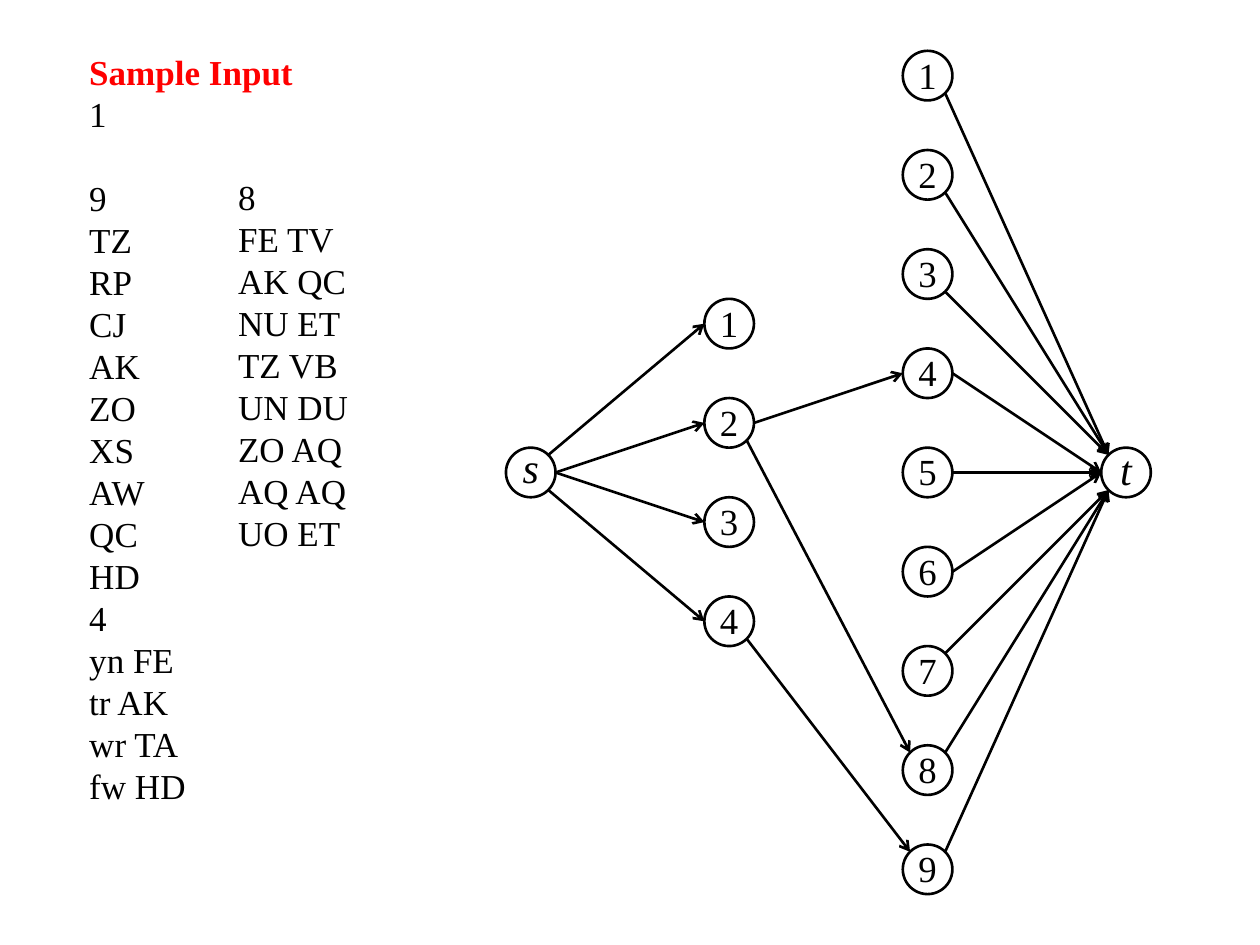
import math
import pptx
import pptx.util
import pptx.dml.color
import pptx.enum.text
import pptx.enum.shapes
import pptx.oxml
import pptx.oxml.ns

Pt = pptx.util.Pt
BLACK = pptx.dml.color.RGBColor(0, 0, 0)
WHITE = pptx.dml.color.RGBColor(255, 255, 255)
RED = pptx.dml.color.RGBColor(255, 0, 0)
FONT = "Times New Roman"

deck = pptx.Presentation()
deck.slide_width = pptx.util.Inches(10)
deck.slide_height = pptx.util.Inches(7.5)
slide = deck.slides.add_slide(deck.slide_layouts[6])
unit = deck.slide_width / 25.4
mid = deck.slide_height / 2
start = 10.7 * unit
col = 4 * unit
row = 2 * unit
size = unit
half = size / 2
diag = half * math.sqrt(0.5)


def style(font, points, color=BLACK):
    font.name = FONT
    font.size = Pt(points)
    font.color.rgb = color


def inset(frame, side, low):
    frame.margin_left = frame.margin_right = int(side * unit)
    frame.margin_top = 0
    frame.margin_bottom = int(low * unit)
    frame.word_wrap = True


left = ["Sample Input", "1", "9", "TZ", "RP", "CJ", "AK", "ZO", "XS", "AW",
        "QC", "HD", "4", "yn FE", "tr AK", "wr TA", "fw HD"]
right = ["8", "FE TV", "AK QC", "NU ET", "TZ VB", "UN DU", "ZO AQ", "AQ AQ",
         "UO ET"]
lists = [(left, 1.7, 1.02, 4.5, 15.5), (right, 4.7, 3.53, 2.5, 8)]
for words, x, y, wide, high in lists:
    box = slide.shapes.add_textbox(
        int(x * unit), int(y * unit), int(wide * unit), int(high * unit))
    frame = box.text_frame
    inset(frame, 0.1, 0.13)
    frame.text = "\n".join(words)
    for para in frame.paragraphs:
        para.line_spacing = Pt(24)
        style(para.runs[0].font, 20)
    if words is left:
        title = frame.paragraphs[0].runs[0].font
        title.bold = True
        title.color.rgb = RED
        frame.paragraphs[2].space_before = Pt(24)

nodes = {"s": (0, 0), "t": (3, 0)}
for num in range(1, 5):
    nodes["a" + str(num)] = (1, num - 2.5)
for num in range(1, 10):
    nodes["b" + str(num)] = (2, num - 5)

lows = {"s": 0.25, "t": 0.15}
for name, (x, y) in nodes.items():
    node = slide.shapes.add_shape(
        pptx.enum.shapes.MSO_SHAPE.OVAL,
        int(start + x * col - half), int(mid + y * row - half),
        int(size), int(size))
    node.shadow.inherit = False
    node.fill.solid()
    node.fill.fore_color.rgb = WHITE
    node.line.color.rgb = BLACK
    node.line.width = Pt(1.5)
    frame = node.text_frame
    inset(frame, 0, lows.get(name, 0.05))
    frame.vertical_anchor = pptx.enum.text.MSO_ANCHOR.MIDDLE
    frame.text = name[-1]
    para = frame.paragraphs[0]
    para.alignment = pptx.enum.text.PP_ALIGN.CENTER
    font = para.runs[0].font
    style(font, 24 if name in lows else 21)
    font.italic = name in lows

edges = [("s", "a" + str(num)) for num in range(1, 5)]
edges += [("a2", "b4"), ("a2", "b8"), ("a4", "b9")]
edges += [("b" + str(num), "t") for num in range(1, 10)]
for tail, head in edges:
    (xa, ya), (xb, yb) = nodes[tail], nodes[head]
    rise = yb - ya
    turn = math.copysign(diag, rise)
    outx, outy = (diag, turn) if abs(rise) > 1 else (half, 0)
    inx, iny = (diag, turn) if abs(rise) > 1.5 else (half, 0)
    edge = slide.shapes.add_connector(
        pptx.enum.shapes.MSO_CONNECTOR.STRAIGHT,
        int(start + xa * col + outx), int(mid + ya * row + outy),
        int(start + xb * col - inx), int(mid + yb * row - iny))
    edge.line.color.rgb = BLACK
    edge.line.width = Pt(1.5)
    tip = pptx.oxml.parse_xml(
        "<a:tailEnd %s type='arrow'/>" % pptx.oxml.ns.nsdecls("a"))
    edge.line._get_or_add_ln().append(tip)
    plain = pptx.oxml.parse_xml(
        "<a:effectLst %s/>" % pptx.oxml.ns.nsdecls("a"))
    edge._element.spPr.append(plain)

deck.save("out.pptx")
